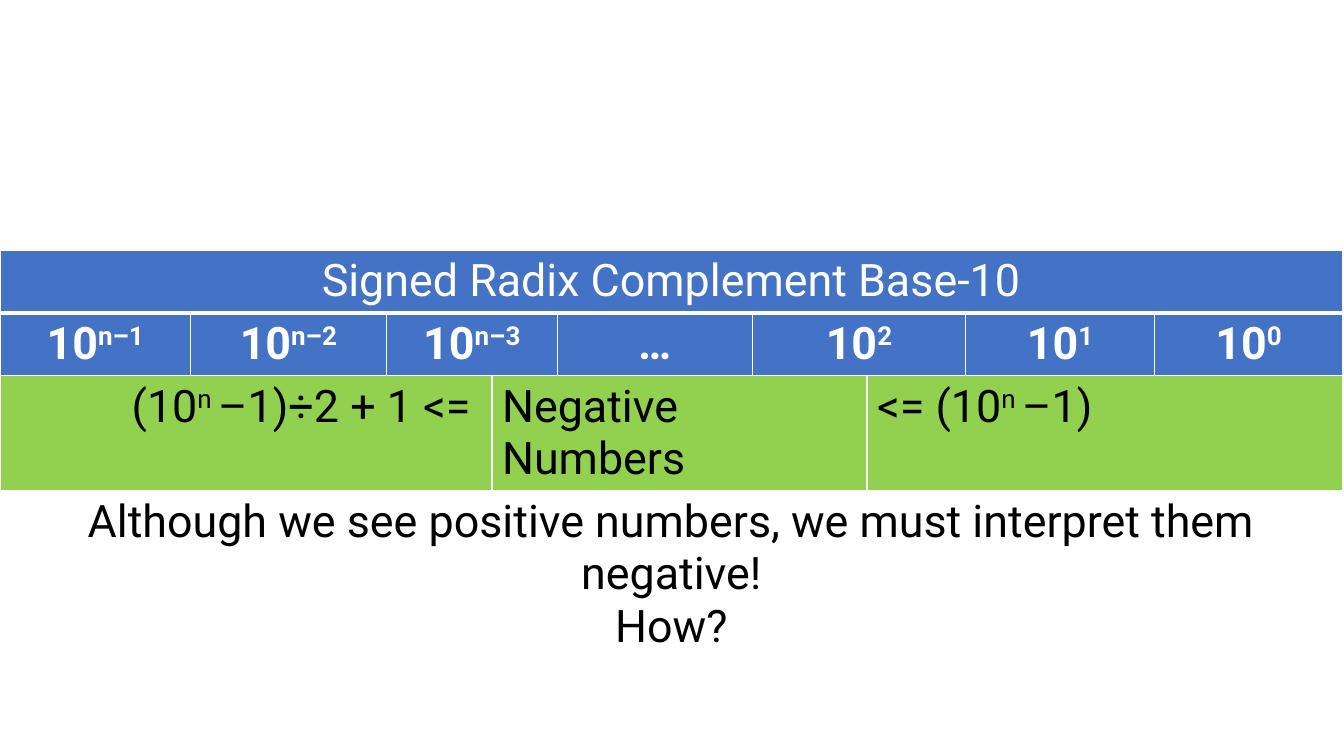
from lxml.etree import SubElement
from pptx import Presentation
from pptx.dml.color import RGBColor
from pptx.enum.text import PP_ALIGN as Align
from pptx.oxml.ns import qn
from pptx.util import Inches, Pt

WHITE = RGBColor(0xFF, 0xFF, 0xFF)
BLACK = RGBColor(0, 0, 0)
BLUE = RGBColor(0x44, 0x72, 0xC4)
GREEN = RGBColor(0x92, 0xD0, 0x50)

WIDTHS = [1.89, 1.94, 1.05, 0.65, 1.93, 1.14, 0.98, 1.87, 1.87]
ROW_HEIGHT = 0.41

# Each entry: text, columns spanned, alignment. Text between ^ marks is raised.
TITLE = [("Signed Radix Complement Base-10", 9, Align.CENTER)]
POWERS = [
    (text, span, Align.CENTER)
    for text, span in [
        ("10^n–1", 1), ("10^n–2", 1), ("10^n–3", 2), ("…", 1),
        ("10^2", 2), ("10^1", 1), ("10^0", 1),
    ]
]
RANGE = [
    ("(10^n ^–1)÷2 + 1 <= ", 3, Align.RIGHT),
    ("Negative Numbers", 3, Align.LEFT),
    ("<= (10^n ^–1)", 3, Align.LEFT),
]
QUESTION = [(
    "Although we see positive numbers, we must interpret them negative!\nHow?",
    9, Align.CENTER,
)]


class Deck:
    font = "Roboto"
    size = Pt(32)

    def __init__(self):
        self.prs = Presentation()
        self.prs.slide_width = Inches(13.33)
        self.prs.slide_height = Inches(7.5)
        self.slide = self.prs.slides.add_slide(self.prs.slide_layouts[6])

    def table(self, left, top, height, widths, count):
        frame = self.slide.shapes.add_table(
            count, len(widths), Inches(left), Inches(top),
            Inches(sum(widths)), Inches(height))
        table = frame.table
        table.first_row = table.horz_banding = False
        for column, width in zip(table.columns, widths):
            column.width = Inches(width)
        for row in table.rows:
            row.height = Inches(ROW_HEIGHT)
        frame.height = Inches(height)
        return table

    def row(self, table, index, entries, fill, color, bold=False, base=1):
        """Fill one table row; base is the width of its bottom border."""
        for cell in table.rows[index].cells:
            self.border(cell, base)
            if fill is None:
                cell.fill.background()
            else:
                cell.fill.solid()
                cell.fill.fore_color.rgb = fill
        start = 0
        for text, span, align in entries:
            cell = table.cell(index, start)
            if span > 1:
                cell.merge(table.cell(index, start + span - 1))
            self.label(cell.text_frame, text, align, color, bold)
            start += span

    def border(self, cell, base):
        props = cell._tc.get_or_add_tcPr()
        for side, width in zip("LRTB", (1, 1, 1, base)):
            line = SubElement(props, qn(f"a:ln{side}"), w=str(Pt(width)))
            paint = SubElement(line, qn("a:solidFill"))
            SubElement(paint, qn("a:srgbClr"), val=str(WHITE))

    def label(self, frame, text, align, color, bold):
        frame.text = text
        for para in frame.paragraphs:
            parts = para.text.split("^")
            para.clear()
            para.alignment = align
            for order, part in enumerate(parts):
                run = para.add_run()
                run.text = part
                font = run.font
                font.name, font.size, font.bold = self.font, self.size, bold
                font.color.rgb = color
                if order % 2:
                    run._r.get_or_add_rPr().set("baseline", "30000")

    def save(self):
        self.prs.save("out.pptx")


def main():
    deck = Deck()
    table = deck.table(0, 2.48, 3.07, WIDTHS, 4)
    deck.row(table, 0, TITLE, BLUE, WHITE, base=3)
    deck.row(table, 1, POWERS, BLUE, WHITE, bold=True)
    deck.row(table, 2, RANGE, GREEN, BLACK)
    deck.row(table, 3, QUESTION, None, BLACK)
    deck.save()


if __name__ == "__main__":
    main()
